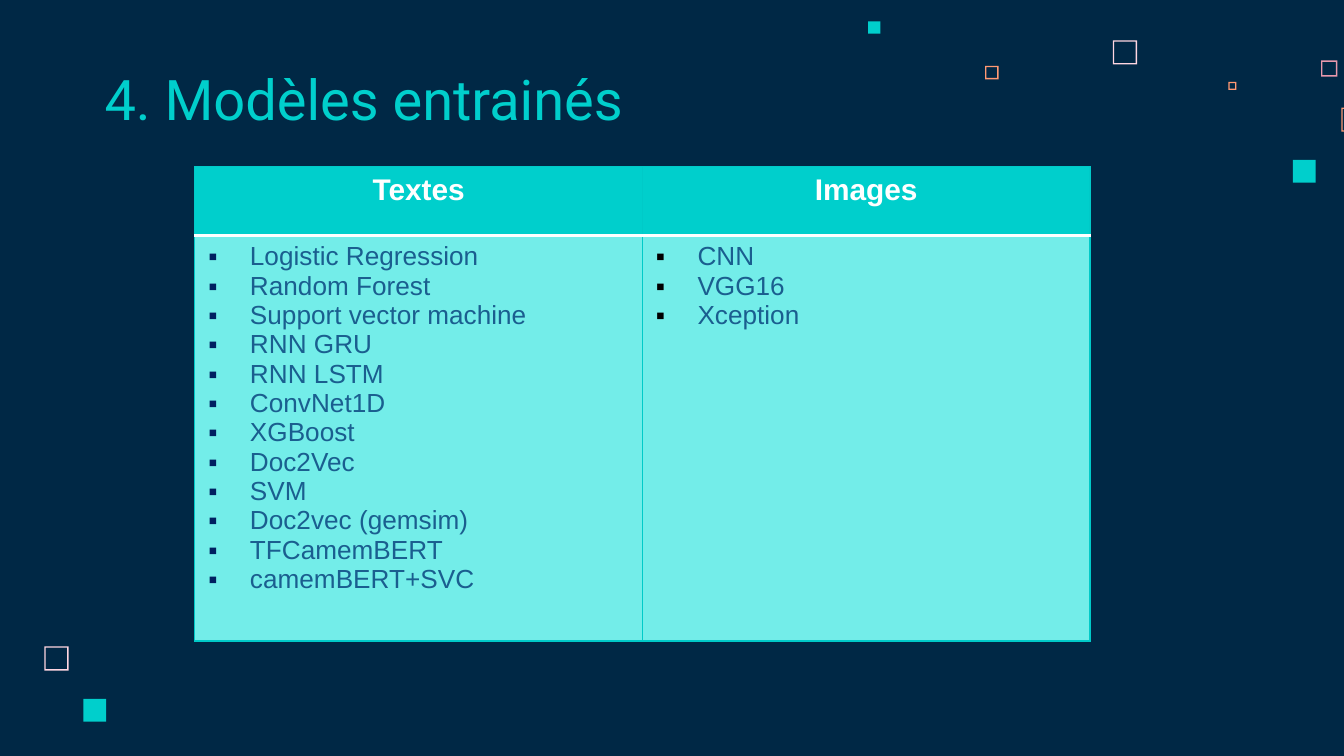
from lxml import etree
from pptx import Presentation
from pptx.dml.color import RGBColor
from pptx.enum.shapes import MSO_SHAPE
from pptx.enum.text import MSO_ANCHOR, PP_ALIGN
from pptx.oxml.ns import qn
from pptx.util import Inches, Pt

FRAME = MSO_SHAPE.FRAME
RECTANGLE = MSO_SHAPE.RECTANGLE
BOTTOM = MSO_ANCHOR.BOTTOM
LEFT = PP_ALIGN.LEFT
CENTER = PP_ALIGN.CENTER

NAVY = "002845"
TURQUOISE = "00CFCC"
LIGHT_TURQUOISE = "73EDE9"
GRID = "00CAC8"
WHITE = "FFFFFF"
BLUE = "1A5E8F"
PALE_PINK = "FFD6E1"
PINK = "E898AC"
ORANGE = "FF9973"

FRAME_SQUARES = [
    (8.28, 0.3, 0.18, PALE_PINK),
    (9.83, 0.45, 0.12, PINK),
    (9.14, 0.61, 0.06, ORANGE),
    (9.98, 0.8, 0.18, ORANGE),
    (7.33, 0.49, 0.1, ORANGE),
    (0.33, 4.81, 0.18, PALE_PINK),
]
SOLID_SQUARES = [(9.62, 1.19, 0.17), (6.46, 0.16, 0.09), (0.62, 5.2, 0.17)]

MODELS = [
    ("Textes", "002060", [
        "Logistic Regression", "Random Forest", "Support vector machine",
        "RNN GRU", "RNN LSTM", "ConvNet1D", "XGBoost", "Doc2Vec", "SVM",
        "Doc2vec (gemsim)", "TFCamemBERT", "camemBERT+SVC",
    ]),
    ("Images", "000000", ["CNN", "VGG16", "Xception"]),
]


def set_fill(fill, color):
    fill.solid()
    fill.fore_color.rgb = RGBColor.from_string(color)


def add_square(slide, left, top, size, color, kind=RECTANGLE):
    shape = slide.shapes.add_shape(
        kind, Inches(left), Inches(top), Inches(size), Inches(size))
    shape.shadow.inherit = False
    set_fill(shape.fill, color)
    shape.line.fill.background()
    return shape


def add_frame(slide, left, top, size, color):
    shape = add_square(slide, left, top, size, color, FRAME)
    shape.adjustments[0] = 0.01 / size


def add_bullet(paragraph, color):
    properties = paragraph._p.get_or_add_pPr()
    properties.set("marL", str(Inches(0.31)))
    properties.set("indent", str(Inches(-0.31)))
    bullet_color = etree.SubElement(properties, qn("a:buClr"))
    etree.SubElement(bullet_color, qn("a:srgbClr"), val=color)
    etree.SubElement(properties, qn("a:buFont"), typeface="Arial")
    etree.SubElement(properties, qn("a:buChar"), char="▪")


def write_text(paragraph, text, *, size, color, font="Arial", bold=False,
               align=LEFT, bullet=None):
    if bullet:
        add_bullet(paragraph, bullet)
    paragraph.alignment = align
    run = paragraph.add_run()
    run.text = text
    run.font.name = font
    run.font.size = Pt(size)
    run.font.bold = bold
    run.font.color.rgb = RGBColor.from_string(color)


def add_title(slide, text):
    shape = slide.shapes.add_textbox(
        Inches(0.68), Inches(0.45), Inches(5.17), Inches(0.63))
    frame = shape.text_frame
    frame.word_wrap = True
    frame.vertical_anchor = BOTTOM
    frame.margin_left = frame.margin_right = Inches(0.1)
    frame.margin_top = frame.margin_bottom = Inches(0.1)
    write_text(frame.paragraphs[0], text, size=30, color=TURQUOISE,
               font="Roboto")


def set_borders(cell, **borders):
    properties = cell._tc.get_or_add_tcPr()
    for side in ("L", "R", "T", "B"):
        color, width = borders.get(side, (GRID, 0.75))
        line = etree.SubElement(properties, qn(f"a:ln{side}"),
                                w=str(Pt(width)))
        fill = etree.SubElement(line, qn("a:solidFill"))
        etree.SubElement(fill, qn("a:srgbClr"), val=color)


def add_models_table(slide):
    table = slide.shapes.add_table(
        2, len(MODELS), Inches(1.45), Inches(1.24),
        Inches(6.66), Inches(3.53)).table
    table.horz_banding = False
    table.rows[0].height = Inches(0.51)
    table.rows[1].height = Inches(3.02)
    divider = (WHITE, 2)
    for column, (heading, bullet, names) in enumerate(MODELS):
        header, body = table.cell(0, column), table.cell(1, column)
        set_borders(header, B=divider)
        set_borders(body, T=divider)
        set_fill(header.fill, TURQUOISE)
        set_fill(body.fill, LIGHT_TURQUOISE)
        write_text(header.text_frame.paragraphs[0], heading, size=16,
                   color=WHITE, bold=True, align=CENTER)
        frame = body.text_frame
        for index, name in enumerate(names):
            paragraph = frame.add_paragraph() if index else frame.paragraphs[0]
            write_text(paragraph, name, size=14, color=BLUE, bullet=bullet)


def main():
    presentation = Presentation()
    presentation.slide_width = Inches(10)
    presentation.slide_height = presentation.slide_width * 9 // 16
    slide = presentation.slides.add_slide(presentation.slide_layouts[6])
    set_fill(slide.background.fill, NAVY)
    for left, top, size, color in FRAME_SQUARES:
        add_frame(slide, left, top, size, color)
    for left, top, size in SOLID_SQUARES:
        add_square(slide, left, top, size, TURQUOISE)
    add_title(slide, "4. Modèles entrainés")
    add_models_table(slide)
    presentation.save("out.pptx")


if __name__ == "__main__":
    main()
